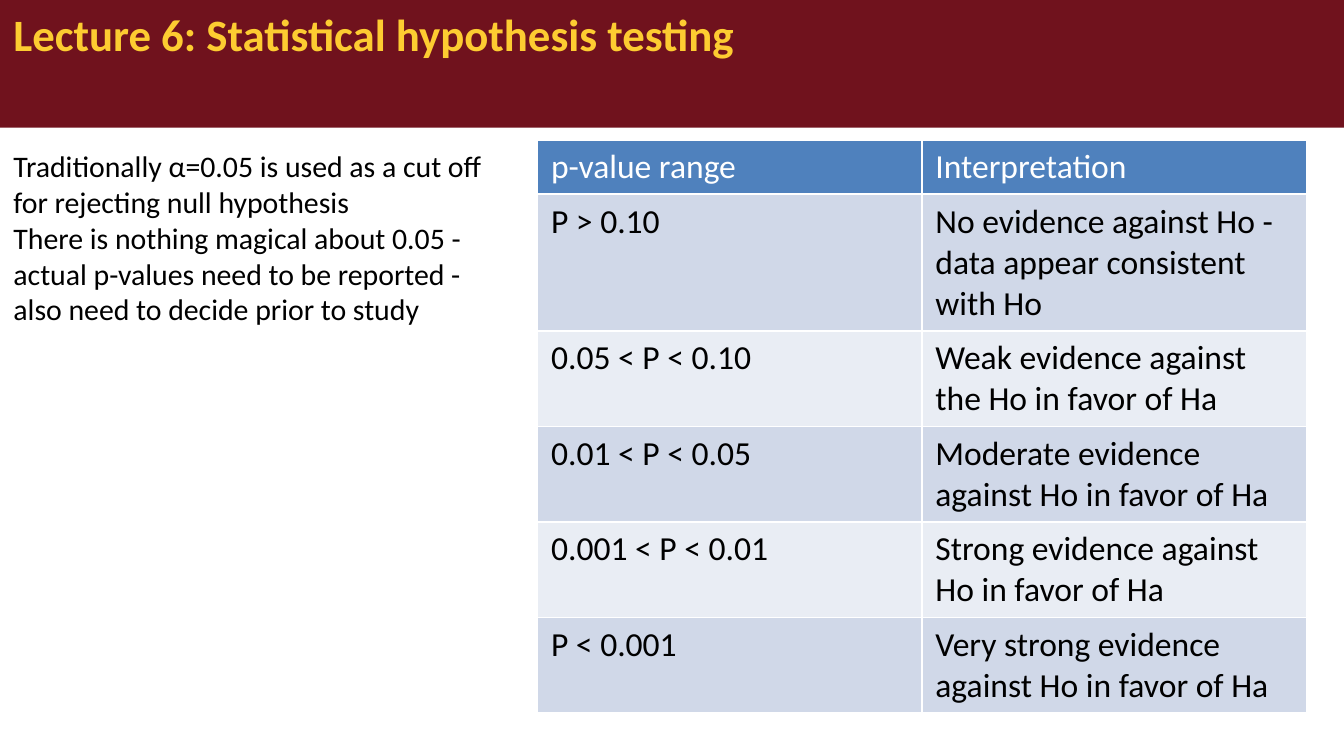
from lxml.etree import SubElement
from pptx import Presentation
from pptx.dml.color import RGBColor as Rgb
from pptx.enum.text import MSO_ANCHOR as Anchor, MSO_AUTO_SIZE as AutoSize, PP_ALIGN as Align
from pptx.oxml.ns import qn
from pptx.util import Inches, Pt

COLORS = {
    "maroon": "70121D",
    "gold": "FDCC31",
    "black": "000000",
    "white": "FFFFFF",
    "header": "4F81BD",
    "band_dark": "D0D8E8",
    "band_light": "E9EDF4",
}


def add_text(para, text, size, color, bold=False):
    para.alignment = Align.LEFT
    para.line_spacing = 1.0
    para.space_before = para.space_after = Pt(0)
    span = para.add_run()
    span.text = text
    span.font.name = "Calibri"
    span.font.size = Pt(size)
    span.font.bold = bold
    span.font.color.rgb = Rgb.from_string(COLORS[color])


def set_borders(cell, color, width):
    props = cell._tc.get_or_add_tcPr()
    for index, side in enumerate(("lnL", "lnR", "lnT", "lnB")):
        line = props.makeelement(qn(f"a:{side}"), {"w": str(Pt(width))})
        fill = SubElement(line, qn("a:solidFill"))
        SubElement(fill, qn("a:srgbClr"), val=COLORS[color])
        props.insert(index, line)


# Widescreen page, 16:9
deck = Presentation()
deck.slide_width = Inches(10)
deck.slide_height = Inches(10 * 9 / 16)
page = deck.slides.add_slide(deck.slide_layouts[1])
title, body = page.placeholders

# Place the title band and the body text
for box, (left, top, width, height) in (
    (title, (0, 0, 10, 0.95)),
    (body, (0, 1.05, 3.87, 3.85)),
):
    box.left, box.top = Inches(left), Inches(top)
    box.width, box.height = Inches(width), Inches(height)
    box.text_frame.word_wrap = True
    box.text_frame.auto_size = AutoSize.NONE
    box.text_frame.vertical_anchor = Anchor.TOP

# Title
title.fill.solid()
title.fill.fore_color.rgb = Rgb.from_string(COLORS["maroon"])
add_text(title.text_frame.paragraphs[0], "Lecture 6: Statistical hypothesis testing",
         24, "gold", bold=True)

# Body text without bullets
notes = [
    "Traditionally α=0.05 is used as a cut off for rejecting null hypothesis",
    "There is nothing magical about 0.05 - actual p-values need to be reported - "
    "also need to decide prior to study",
]
frame = body.text_frame
for index, note in enumerate(notes):
    para = frame.add_paragraph() if index else frame.paragraphs[0]
    add_text(para, note, 16, "black")
    props = para._p.get_or_add_pPr()
    props.set("marL", "0")
    props.set("indent", "0")
    SubElement(props, qn("a:buNone"))

# Table of p-value ranges
rows = [
    ("p-value range", "Interpretation"),
    ("P > 0.10", "No evidence against Ho - data appear consistent with Ho"),
    ("0.05 < P < 0.10", "Weak evidence against the Ho in favor of Ha"),
    ("0.01 < P < 0.05", "Moderate evidence against Ho in favor of Ha"),
    ("0.001 < P < 0.01", "Strong evidence against Ho in favor of Ha"),
    ("P < 0.001", "Very strong evidence against Ho in favor of Ha"),
]
heights = [0.4, 1.01] + [0.71] * 4
table = page.shapes.add_table(len(rows), 2, Inches(4), Inches(1.04),
                              Inches(5.72), Inches(sum(heights))).table
for r, (row, height) in enumerate(zip(rows, heights)):
    table.rows[r].height = Inches(height)
    if r == 0:
        fill, color = "header", "white"
    else:
        fill, color = ("band_dark" if r % 2 else "band_light"), "black"
    for c, text in enumerate(row):
        cell = table.cell(r, c)
        cell.fill.solid()
        cell.fill.fore_color.rgb = Rgb.from_string(COLORS[fill])
        add_text(cell.text_frame.paragraphs[0], text, 18, color)
        set_borders(cell, "white", 1)

deck.save("out.pptx")
